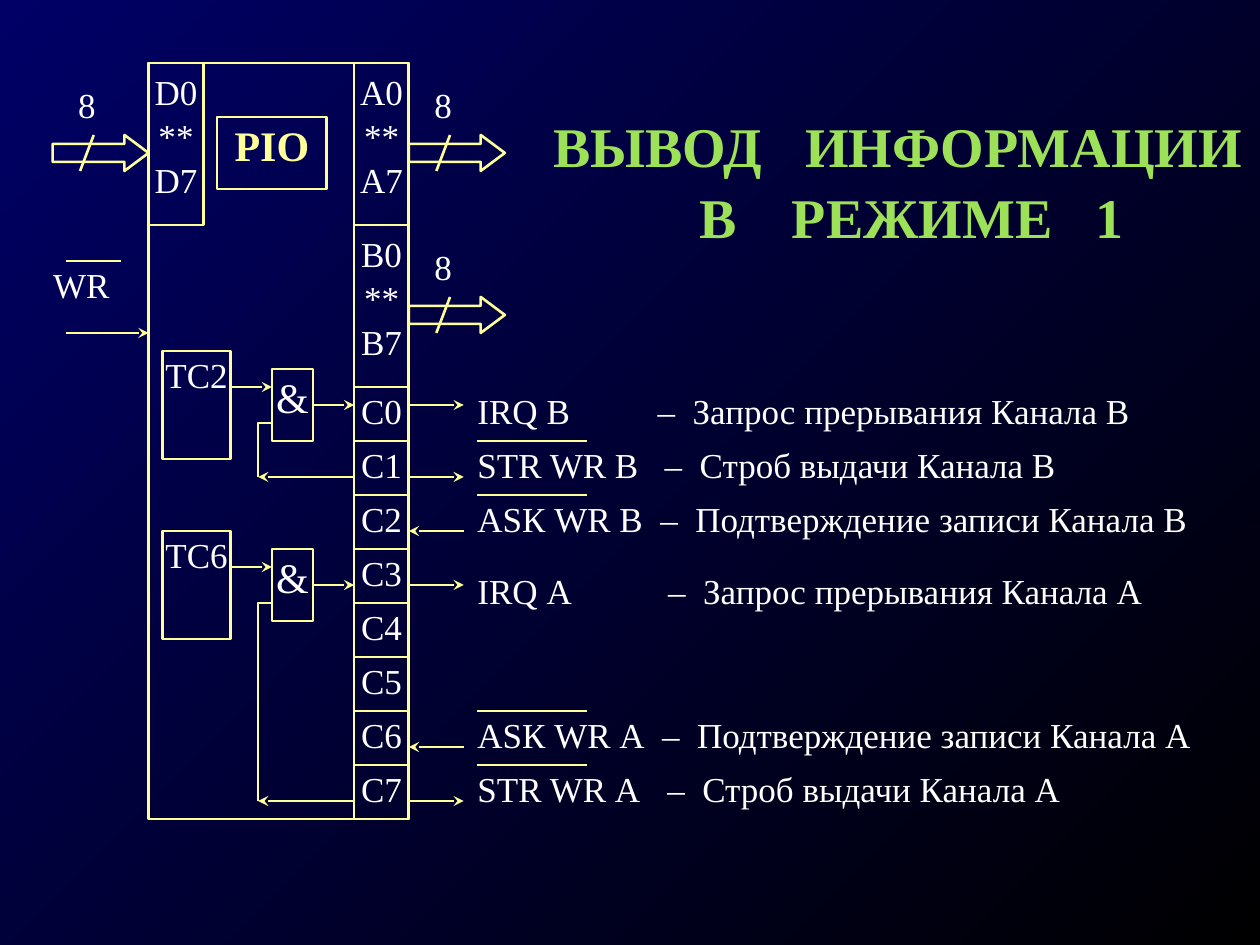
from typing import NamedTuple

from lxml.etree import SubElement
from pptx import Presentation
from pptx.dml.color import RGBColor
from pptx.enum.shapes import MSO_CONNECTOR, MSO_SHAPE
from pptx.enum.text import MSO_ANCHOR, PP_ALIGN
from pptx.oxml.ns import qn
from pptx.util import Length, Pt

NAVY = RGBColor(0x00, 0x00, 0x66)
BLACK = RGBColor(0x00, 0x00, 0x00)
YELLOW = RGBColor(0xFF, 0xFF, 0x99)
WHITE = RGBColor(0xFF, 0xFF, 0xFF)
GREEN = RGBColor(0x9C, 0xE1, 0x57)
FONT = "Times New Roman"

# The diagram lies on a grid of columns and rows
GRID_LEFT, COLUMN = 30.1, 7.83
GRID_TOP, ROW = 36, 72 / 7
CHIP_LEFT, PORT_LEFT, PORT_RIGHT = 7, 22, 26
LABEL_LEFT = 31


class Block(NamedTuple):
    text: str
    column: float
    row: float
    columns: float
    rows: float
    size: float = 20
    color: RGBColor = WHITE
    bold: bool = False
    top_inset: float = 0


class Wire(NamedTuple):
    start: tuple[float, float]
    end: tuple[float, float]
    arrow: bool = True
    width: float = 1.5


class Signal(NamedTuple):
    name: str
    meaning: str
    row: float
    dash_at: float
    wire_row: float
    incoming: bool = False
    inverted: bool = True


def x(column: float) -> Length:
    return Pt(GRID_LEFT + column * COLUMN)


def y(row: float) -> Length:
    return Pt(GRID_TOP + row * ROW)


def outline(shape, width: float = 1.5) -> None:
    shape.shadow.inherit = False
    shape.fill.background()
    shape.line.color.rgb = YELLOW
    shape.line.width = Pt(width)


def write(frame, text: str, *, size: float = 20, color: RGBColor = WHITE,
          bold: bool = False, align: PP_ALIGN = PP_ALIGN.CENTER,
          top_inset: float = 0, left_inset: float = 0,
          tabs: tuple[tuple[float, ...], ...] = ((),)) -> None:
    """Write one paragraph per line of text, each with its own tab stops."""
    frame.word_wrap = True
    frame.vertical_anchor = MSO_ANCHOR.TOP
    frame.margin_left, frame.margin_top = Pt(left_inset), Pt(top_inset)
    frame.margin_right = frame.margin_bottom = 0
    for index, (line, stops) in enumerate(zip(text.split("\n"), tabs)):
        para = frame.add_paragraph() if index else frame.paragraphs[0]
        if stops:
            tab_list = SubElement(para._p.get_or_add_pPr(), qn("a:tabLst"))
            for stop in stops:
                SubElement(tab_list, qn("a:tab"), pos=str(Pt(stop)), algn="l")
        para.alignment = align
        para.line_spacing = 1.05
        span = para.add_run()
        span.text = line
        span.font.name, span.font.size = FONT, Pt(size)
        span.font.bold, span.font.color.rgb = bold, color


def draw_block(slide, block: Block) -> None:
    box = slide.shapes.add_shape(
        MSO_SHAPE.RECTANGLE, x(block.column), y(block.row),
        Pt(block.columns * COLUMN), Pt(block.rows * ROW))
    outline(box)
    if block.text:
        write(box.text_frame, block.text, size=block.size, color=block.color,
              bold=block.bold, top_inset=block.top_inset)


def draw_label(slide, text: str, column: float, row: float,
               columns: float, **style) -> None:
    box = slide.shapes.add_textbox(x(column), y(row),
                                   Pt(columns * COLUMN), Pt(3 * ROW))
    write(box.text_frame, text, **style)


def draw_wire(slide, wire: Wire) -> None:
    (start_column, start_row), (end_column, end_row) = wire.start, wire.end
    line = slide.shapes.add_connector(
        MSO_CONNECTOR.STRAIGHT, x(start_column), y(start_row),
        x(end_column), y(end_row))
    line.line.color.rgb = YELLOW
    line.line.width = Pt(wire.width)
    if wire.arrow:
        SubElement(line.line._get_or_add_ln(), qn("a:tailEnd"), type="stealth")
    SubElement(line._element.spPr, qn("a:effectLst"))


def draw_overline(slide, column: float, row: float, columns: float) -> None:
    draw_wire(slide, Wire((column, row), (column + columns, row), False, 1))


def draw_bus(slide, column: float, row: float) -> None:
    """Draw an eight-bit bus: wide arrow, slash and bit count."""
    arrow = slide.shapes.add_shape(MSO_SHAPE.RIGHT_ARROW, x(column), y(row),
                                   Pt(7 * COLUMN), Pt(2 * ROW))
    arrow.adjustments[0], arrow.adjustments[1] = 0.5, 0.67
    outline(arrow)
    draw_wire(slide, Wire((column + 3, row), (column + 2, row + 2), False))
    draw_label(slide, "8", column + 1, row - 3, 3)


def draw_feedback(slide, top: float, bottom: float) -> None:
    """Draw the return path from a port C line to a gate."""
    builder = slide.shapes.build_freeform(x(15), y(bottom))
    builder.add_line_segments([(x(15), y(top)), (x(16), y(top))], close=False)
    outline(builder.convert_to_shape())
    draw_wire(slide, Wire((PORT_LEFT, bottom), (15, bottom)))


def draw_gate(slide, trigger: str, row: float, feedback_row: float) -> None:
    """Draw an interrupt trigger and the AND gate it feeds."""
    draw_block(slide, Block(trigger, 8, row, 5, 6))
    draw_block(slide, Block("&", 16, row + 1, 3, 4, size=24))
    draw_wire(slide, Wire((13, row + 2), (16, row + 2)))
    draw_wire(slide, Wire((19, row + 3), (PORT_LEFT, row + 3)))
    draw_feedback(slide, row + 4, feedback_row)


def draw_signal(slide, signal: Signal) -> None:
    ends = [(PORT_RIGHT, signal.wire_row), (30, signal.wire_row)]
    if signal.incoming:
        ends.reverse()
    draw_wire(slide, Wire(*ends))
    draw_label(slide, f"{signal.name}\t–\t{signal.meaning}", LABEL_LEFT,
               signal.row, 54, align=PP_ALIGN.LEFT,
               tabs=((signal.dash_at, signal.dash_at + 20),))
    if signal.inverted:
        draw_overline(slide, LABEL_LEFT, signal.row, 8)


BLOCKS = [
    Block("", CHIP_LEFT, 0, 19, 42),
    Block("D0 ** D7", CHIP_LEFT, 0, 4, 9, top_inset=3),
    Block("A0 ** A7", PORT_LEFT, 0, 4, 9, top_inset=3),
    Block("B0 ** B7", PORT_LEFT, 9, 4, 9, top_inset=3),
    Block("PIO", 12, 3, 8, 4, size=24, color=YELLOW, bold=True),
    *(Block(f"C{bit}", PORT_LEFT, 18 + 3 * bit, 4, 3) for bit in range(8)),
]
SIGNALS = [
    Signal("IRQ B", "Запрос прерывания Канала В", 18, 103, 19, inverted=False),
    Signal("STR WR B", "Строб выдачи Канала В", 21, 107, 23),
    Signal("ASК WR B", "Подтверждение записи Канала В", 24, 104.5, 26, incoming=True),
    Signal("IRQ А", "Запрос прерывания Канала А", 28, 109, 29, inverted=False),
    Signal("ASК WR А", "Подтверждение записи Канала А", 36, 105.5, 38, incoming=True),
    Signal("STR WR А", "Строб выдачи Канала А", 39, 108.5, 41),
]


def main() -> None:
    deck = Presentation()
    deck.slide_width, deck.slide_height = Pt(720), Pt(540)
    slide = deck.slides.add_slide(deck.slide_layouts[6])

    # Background
    fill = slide.background.fill
    fill.gradient()
    fill.gradient_angle = 315
    for stop, color, position in zip(fill.gradient_stops, (NAVY, BLACK), (0, 1)):
        stop.color.rgb, stop.position = color, position

    # Chip with its ports and gates
    for block in BLOCKS:
        draw_block(slide, block)
    draw_gate(slide, "TC2", 16, 23)
    draw_gate(slide, "TC6", 26, 41)

    # Buses, write strobe and port C signals
    for column, row in ((0, 4), (PORT_RIGHT, 4), (PORT_RIGHT, 13)):
        draw_bus(slide, column, row)
    draw_label(slide, "WR", -0.8, 11, 5.8)
    draw_overline(slide, 1, 11, 4)
    draw_wire(slide, Wire((1, 15), (CHIP_LEFT, 15)))
    for signal in SIGNALS:
        draw_signal(slide, signal)

    # Title
    title = slide.shapes.add_textbox(Pt(306), Pt(57), Pt(414), Pt(84))
    write(title.text_frame, "ВЫВОД\tИНФОРМАЦИИ\n\tВ\tРЕЖИМЕ\t1", size=32,
          color=GREEN, bold=True, align=PP_ALIGN.LEFT, left_inset=10,
          top_inset=5, tabs=((144,), (83.5, 136.5, 310)))

    deck.save("out.pptx")


if __name__ == "__main__":
    main()
